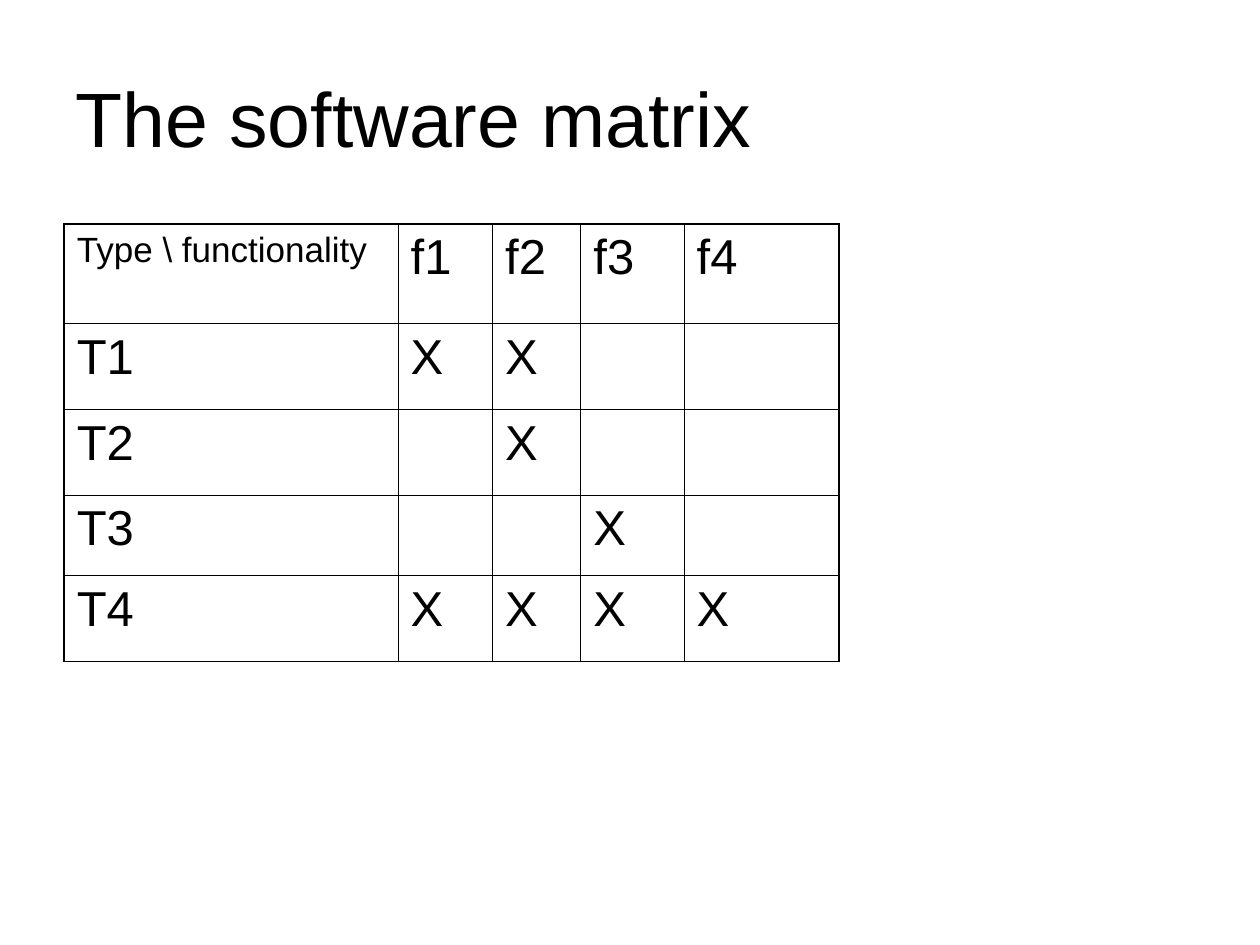
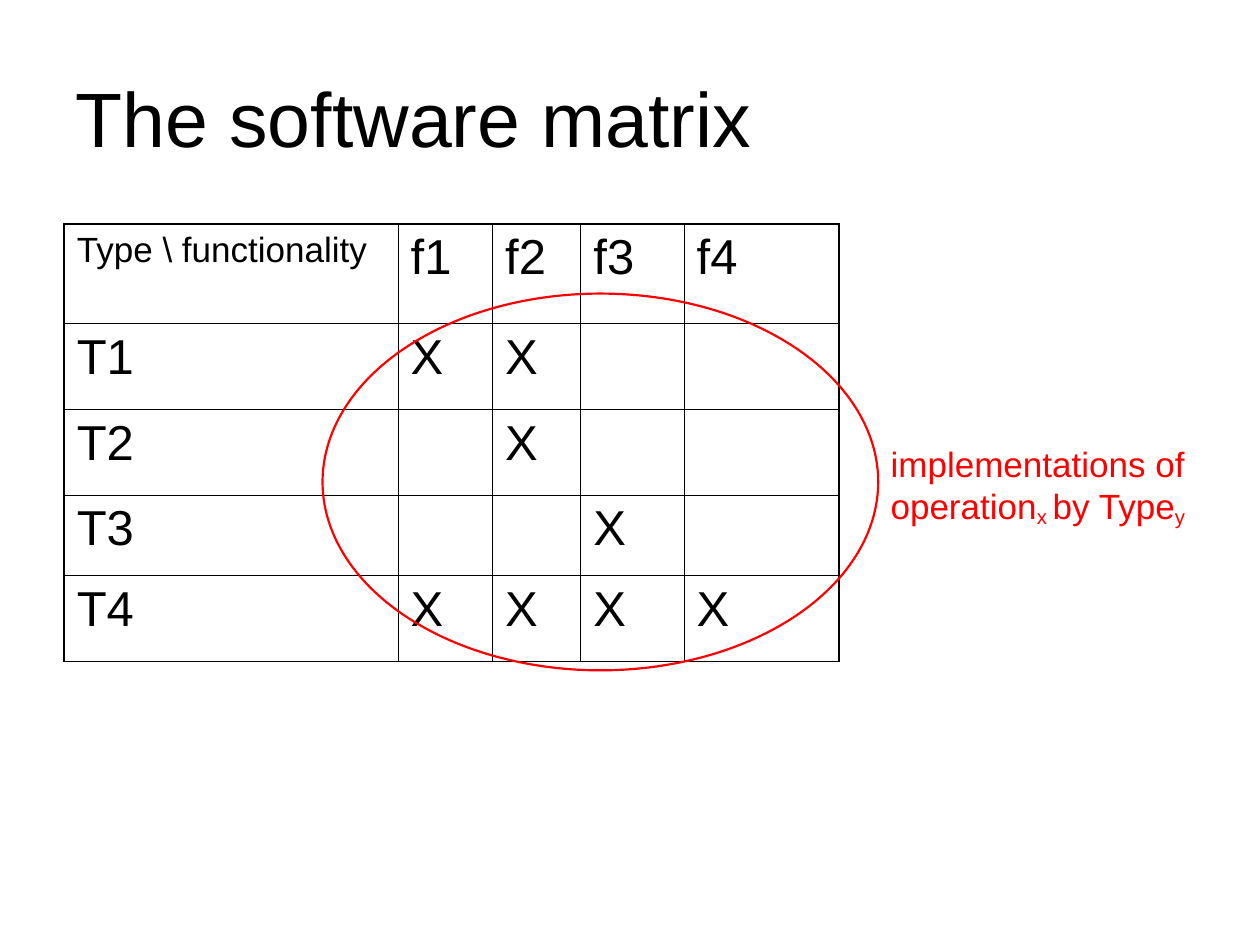
from dataclasses import dataclass

from lxml import etree
from pptx import Presentation
from pptx.dml.color import RGBColor
from pptx.enum.shapes import MSO_SHAPE
from pptx.enum.text import MSO_ANCHOR, PP_ALIGN
from pptx.oxml.ns import qn
from pptx.util import Inches, Pt

OVAL = MSO_SHAPE.OVAL
TOP = MSO_ANCHOR.TOP
MIDDLE = MSO_ANCHOR.MIDDLE
LEFT = PP_ALIGN.LEFT


@dataclass(frozen=True)
class Theme:
    font: str = "Arial"
    ink: str = "000000"
    accent: str = "FF0000"
    title_size: float = 44
    cell_size: float = 28
    small_size: float = 20
    outer_line: float = 1.08
    inner_line: float = 0.45
    oval_line: float = 1.25


theme = Theme()
MARGINS = {
    "margin_left": Inches(0.1),
    "margin_right": Inches(0.1),
    "margin_top": Inches(0.05),
    "margin_bottom": Inches(0.05),
}
TITLE = "The software matrix"
MATRIX = [
    [r"Type \ functionality", "f1", "f2", "f3", "f4"],
    ["T1", "X", "X", "", ""],
    ["T2", "", "X", "", ""],
    ["T3", "", "", "X", ""],
    ["T4", "X", "X", "X", "X"],
]
COLUMN_WIDTHS = [2.65, 0.75, 0.7, 0.82, 1.23]
ROW_HEIGHTS = [0.79, 0.68, 0.68, 0.64, 0.68]
CAPTION = [
    ("implementations of operation", 0),
    ("x ", -16000),
    ("by Type", 0),
    ("y", -16000),
]


def apply(target, values):
    for name, value in values.items():
        setattr(target, name, value)


def style_font(font, size, color):
    apply(font, {"name": theme.font, "size": Pt(size), "bold": False})
    font.color.rgb = RGBColor.from_string(color)


deck = Presentation()
apply(deck, {"slide_width": Inches(10), "slide_height": Inches(7.5)})
title_only = deck.slide_layouts[5]

for _ in range(2):
    slide = deck.slides.add_slide(title_only)
    title = slide.shapes.title
    apply(title, {"left": Inches(0.5), "top": Inches(0.3),
                  "width": Inches(9), "height": Inches(1.25)})
    apply(title.text_frame, {"text": TITLE, "vertical_anchor": MIDDLE, **MARGINS})
    heading = title.text_frame.paragraphs[0]
    heading.alignment = LEFT
    style_font(heading.runs[0].font, theme.title_size, theme.ink)

    matrix = slide.shapes.add_table(
        len(ROW_HEIGHTS), len(COLUMN_WIDTHS), Inches(0.51), Inches(1.78),
        Inches(sum(COLUMN_WIDTHS)), Inches(sum(ROW_HEIGHTS))).table
    apply(matrix, {"first_row": False, "horz_banding": False})
    for column, width in zip(matrix.columns, COLUMN_WIDTHS):
        column.width = Inches(width)
    for row, height in zip(matrix.rows, ROW_HEIGHTS):
        row.height = Inches(height)

    for r, labels in enumerate(MATRIX):
        for c, label in enumerate(labels):
            cell = matrix.cell(r, c)
            corner = r == 0 and c == 0
            apply(cell, {"text": label, "vertical_anchor": TOP, **MARGINS})
            entry = cell.text_frame.paragraphs[0]
            entry.space_before = Pt(5 if corner else 7)
            style_font(entry.font, theme.small_size if corner else theme.cell_size,
                       theme.ink)
            for run in entry.runs:
                style_font(run.font, theme.small_size if corner else theme.cell_size,
                           theme.ink)

            outer_edges = {
                "a:lnL": c == 0,
                "a:lnR": c == len(labels) - 1,
                "a:lnT": r == 0,
                "a:lnB": r == len(MATRIX) - 1,
            }
            properties = cell._tc.get_or_add_tcPr()
            for edge, is_outer in outer_edges.items():
                weight = theme.outer_line if is_outer else theme.inner_line
                border = etree.SubElement(properties, qn(edge), w=str(Pt(weight)))
                paint = etree.SubElement(border, qn("a:solidFill"))
                etree.SubElement(paint, qn("a:srgbClr"), val=theme.ink)
            cell.fill.background()

caption = slide.shapes.add_textbox(
    Inches(6.97), Inches(3.46), Inches(2.76), Inches(1.7)).text_frame
apply(caption, {"word_wrap": True, "vertical_anchor": TOP, **MARGINS})
sentence = caption.paragraphs[0]
apply(sentence, {"space_before": Pt(11.2), "alignment": LEFT})
for words, baseline in CAPTION:
    run = sentence.add_run()
    run.text = words
    style_font(run.font, theme.small_size, theme.accent)
    if baseline:
        run._r.get_or_add_rPr().set("baseline", str(baseline))

implementations = slide.shapes.add_shape(
    OVAL, Inches(2.56), Inches(2.33), Inches(4.41), Inches(2.99))
implementations.shadow.inherit = False
implementations.fill.background()
implementations.line.color.rgb = RGBColor.from_string(theme.accent)
implementations.line.width = Pt(theme.oval_line)

deck.save("out.pptx")
